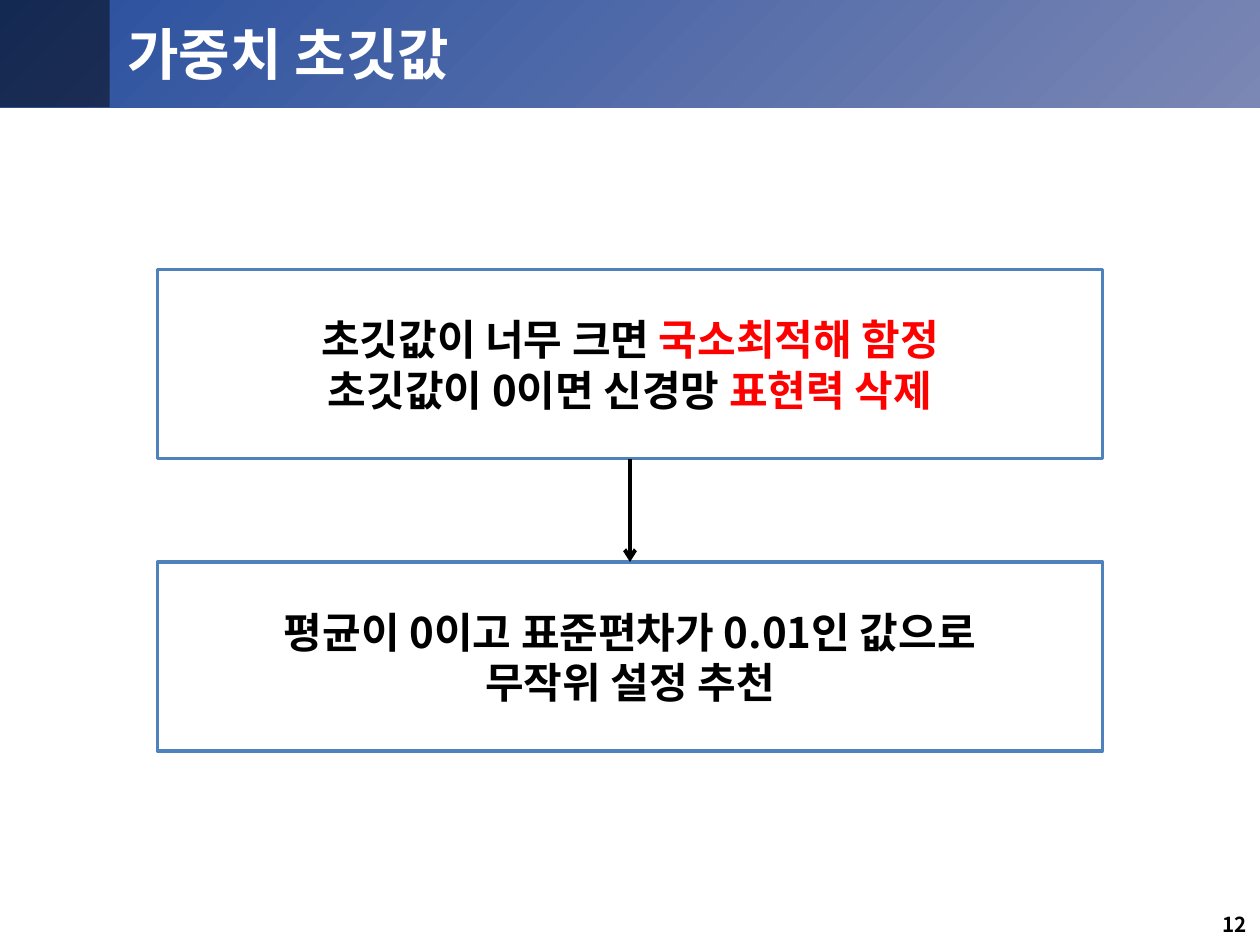
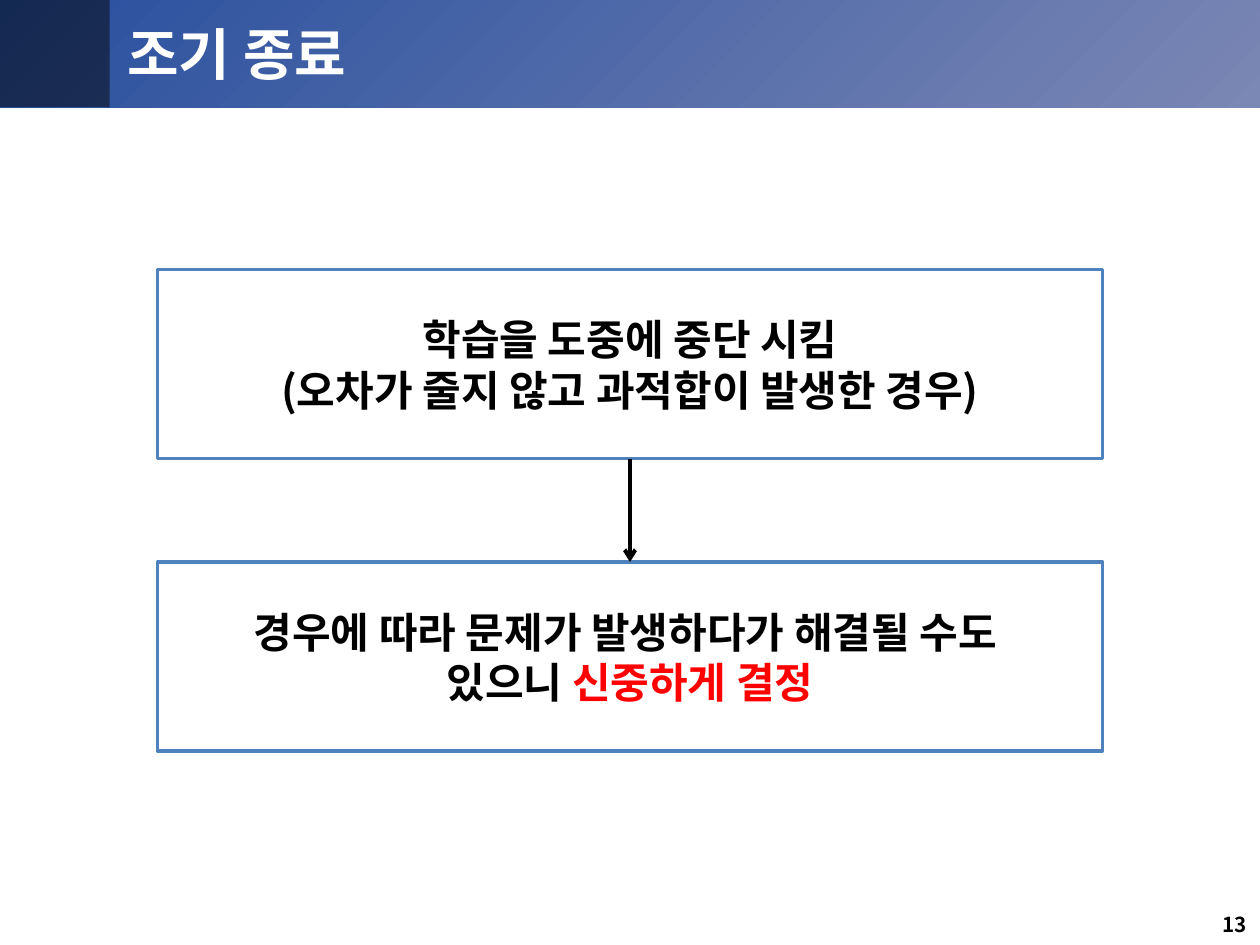
from lxml.etree import SubElement
from pptx import Presentation
from pptx.dml.color import RGBColor
from pptx.enum.shapes import MSO_CONNECTOR as Connector, MSO_SHAPE as Shape
from pptx.enum.text import MSO_ANCHOR as Anchor, MSO_AUTO_SIZE as AutoSize, PP_ALIGN as Align
from pptx.oxml.ns import qn
from pptx.util import Inches, Pt

WIDTH, HEIGHT = Inches(10), Inches(7.5)
FONT = "Noto Sans CJK KR"
BLACK = RGBColor(0x00, 0x00, 0x00)
WHITE = RGBColor(0xFF, 0xFF, 0xFF)
RED = RGBColor(0xFF, 0x00, 0x00)
BORDER_BLUE = RGBColor(0x4F, 0x81, 0xBD)
BAND_START = RGBColor(0x28, 0x4F, 0x9E)
BAND_END = RGBColor(0x7B, 0x87, 0xB4)

BAND_HEIGHT = Inches(0.86)
BAND_TOP = Inches(-0.01)
CORNER_WIDTH = Inches(0.87)
TITLE_BOX = (Inches(0.91), Inches(0.14), Inches(8.83), Inches(0.56))
NUMBER_BOX = (Inches(7.66), Inches(7.21), Inches(2.33), Inches(0.29))
FLOW_BOX = (WIDTH // 8, Inches(2.14), WIDTH * 3 // 4, Inches(3.82))
STEP_HEIGHT = HEIGHT // 5

SLIDES = [
    (12, "가중치 초깃값", [
        [[("초깃값이 너무 크면 ", BLACK), ("국소최적해 함정", RED)],
         [("초깃값이 0이면 신경망 ", BLACK), ("표현력 삭제", RED)]],
        [[("평균이 0이고 표준편차가 0.01인 값으로", BLACK)],
         [("무작위 설정 추천", BLACK)]],
    ]),
    (13, "조기 종료", [
        [[("학습을 도중에 중단 시킴", BLACK)],
         [("(오차가 줄지 않고 과적합이 발생한 경우)", BLACK)]],
        [[("경우에 따라 문제가 발생하다가 해결될 수도 ", BLACK)],
         [("있으니 ", BLACK), ("신중하게 결정", RED)]],
    ]),
]


def write_paragraph(paragraph, runs, size, alignment):
    paragraph.alignment = alignment
    font = paragraph.font
    font.name, font.size, font.bold = FONT, Pt(size), True
    SubElement(paragraph._p.pPr.find(qn("a:defRPr")), qn("a:ea"), typeface=FONT)
    for text, color in runs:
        run = paragraph.add_run()
        run.text = text
        run.font.color.rgb = color


def add_rectangle(slide, box):
    shape = slide.shapes.add_shape(Shape.RECTANGLE, *box)
    shape.shadow.inherit = False
    return shape


def add_bands(layout, slide):
    band = add_rectangle(slide, (0, BAND_TOP, WIDTH, BAND_HEIGHT))
    band.fill.gradient()
    band.fill.gradient_angle = 315
    for stop, color in zip(band.fill.gradient_stops, (BAND_START, BAND_END)):
        stop.color.rgb = color
    corner = add_rectangle(slide, (0, BAND_TOP, CORNER_WIDTH, BAND_HEIGHT))
    corner.fill.solid()
    corner.fill.fore_color.rgb = BLACK
    color_element = corner.element.spPr.find(f".//{qn('a:srgbClr')}")
    SubElement(color_element, qn("a:alpha"), val="48000")
    first_placeholder = layout.placeholders[0].element
    for shape_id, shape in enumerate((band, corner), 101):
        shape.line.fill.background()
        shape.element.xpath(".//p:cNvPr")[0].set("id", str(shape_id))
        first_placeholder.addprevious(shape.element)


def fill_title(slide, text, box):
    title = slide.shapes.title
    title.left, title.top, title.width, title.height = box
    frame = title.text_frame
    frame.auto_size = AutoSize.NONE
    frame.vertical_anchor = Anchor.MIDDLE
    write_paragraph(frame.paragraphs[0], [(text, WHITE)], 32, Align.LEFT)


def add_slide_number(slide, number, box):
    frame = slide.shapes.add_textbox(*box).text_frame
    frame.word_wrap = True
    paragraph = frame.paragraphs[0]
    paragraph.line_spacing = 0.9
    write_paragraph(paragraph, [(str(number), BLACK)], 11.8, Align.RIGHT)


def add_step(slide, lines, box):
    step = add_rectangle(slide, box)
    step.fill.solid()
    step.fill.fore_color.rgb = WHITE
    step.line.color.rgb = BORDER_BLUE
    step.line.width = Pt(2)
    frame = step.text_frame
    frame.word_wrap = True
    frame.vertical_anchor = Anchor.MIDDLE
    for index, runs in enumerate(lines):
        paragraph = frame.add_paragraph() if index else frame.paragraphs[0]
        write_paragraph(paragraph, runs, 24, Align.CENTER)
    return step


def add_arrow(slide, upper, lower):
    arrow = slide.shapes.add_connector(Connector.STRAIGHT, 0, 0, 0, 0)
    arrow.begin_connect(upper, 2)
    arrow.end_connect(lower, 0)
    arrow.line.color.rgb = BLACK
    arrow.line.width = Pt(2.25)
    SubElement(arrow.line._get_or_add_ln(), qn("a:tailEnd"), type="arrow")
    SubElement(arrow.element.spPr, qn("a:effectLst"))


def add_flow(slide, steps, box):
    left, top, width, height = box
    pitch = (height - STEP_HEIGHT) // (len(steps) - 1)
    shapes = [
        add_step(slide, lines, (left, top + index * pitch, width, STEP_HEIGHT))
        for index, lines in enumerate(steps)
    ]
    for upper, lower in zip(shapes, shapes[1:]):
        add_arrow(slide, upper, lower)


def main():
    presentation = Presentation()
    presentation.slide_width, presentation.slide_height = WIDTH, HEIGHT
    layout = presentation.slide_layouts.get_by_name("Title Only")
    for index, (number, title, steps) in enumerate(SLIDES):
        slide = presentation.slides.add_slide(layout)
        if index == 0:
            add_bands(layout, slide)
        fill_title(slide, title, TITLE_BOX)
        add_slide_number(slide, number, NUMBER_BOX)
        add_flow(slide, steps, FLOW_BOX)
    presentation.save("out.pptx")


if __name__ == "__main__":
    main()
